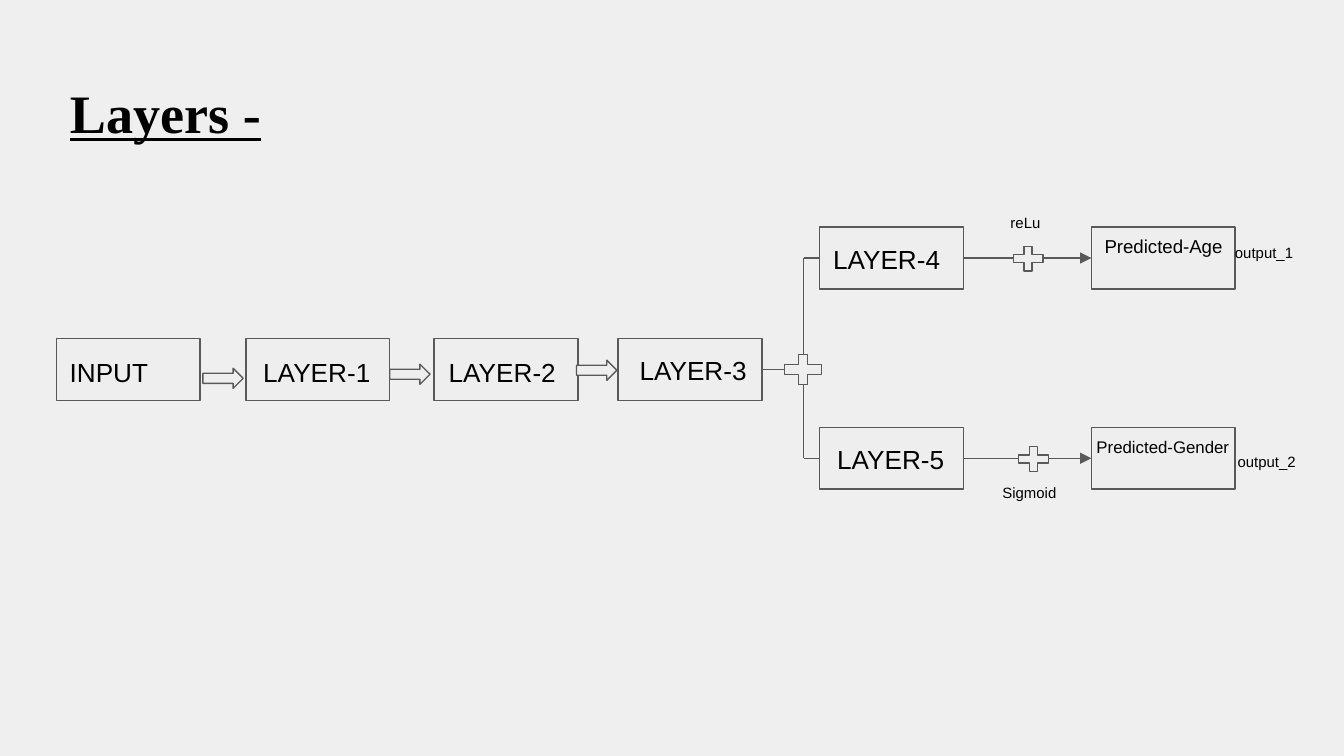
from lxml.etree import SubElement
from pptx import Presentation
from pptx.dml.color import RGBColor
from pptx.enum.shapes import MSO_CONNECTOR, MSO_SHAPE
from pptx.enum.text import MSO_ANCHOR, MSO_AUTO_SIZE, PP_ALIGN
from pptx.oxml.ns import qn
from pptx.util import Inches, Pt

COLORS = {"back": "EFEFEF", "fill": "EEEEEE", "line": "595959", "text": "000000"}
BOX_W, BOX_H = 1.07, 0.46
MAIN_Y, AGE_Y, SEX_Y = 2.52, 1.69, 3.18
FORK_X = 5.98


def color(name):
    """Look up a colour by its role."""
    return RGBColor.from_string(COLORS[name])


def write(frame, text, size, font="Arial"):
    """Fill a text frame with one left-aligned paragraph."""
    frame.word_wrap = True
    frame.auto_size = MSO_AUTO_SIZE.NONE
    frame.vertical_anchor = MSO_ANCHOR.TOP
    frame.margin_left = frame.margin_right = Inches(0.1)
    frame.margin_top = frame.margin_bottom = Inches(0.1)
    line = frame.paragraphs[0]
    line.text = text
    line.alignment = PP_ALIGN.LEFT
    line.font.size = Pt(size)
    line.font.name = font
    line.font.color.rgb = color("text")
    return line


def add_title(slide, text):
    """Place and format the title."""
    title = slide.shapes.title
    title.left, title.top = Inches(0.42), Inches(0.49)
    title.width, title.height = Inches(9.32), Inches(0.63)
    line = write(title.text_frame, text, 29, "Times New Roman")
    line.font.bold = line.font.underline = True


def add_label(slide, text, size, x, y, w, h):
    """Add a text box."""
    label = slide.shapes.add_textbox(Inches(x), Inches(y), Inches(w), Inches(h))
    write(label.text_frame, text, size)


def add_form(slide, kind, x, y, w, h):
    """Add an outlined preset shape."""
    form = slide.shapes.add_shape(kind, Inches(x), Inches(y), Inches(w), Inches(h))
    form.shadow.inherit = False
    form.fill.solid()
    form.fill.fore_color.rgb = color("fill")
    form.line.color.rgb = color("line")
    form.line.width = Pt(0.75)
    return form


def add_plus(slide, x, y, w, h):
    """Add a plus sign."""
    plus = add_form(slide, MSO_SHAPE.MATH_PLUS, x, y, w, h)
    plus.adjustments[0] = 0.235


def add_line(slide, start, end, source=None, target=None, arrow=False):
    """Draw a line, joined to a right or left box side where one is given."""
    points = [Inches(n) for n in (*start, *end)]
    line = slide.shapes.add_connector(MSO_CONNECTOR.STRAIGHT, *points)
    if source:
        line.begin_connect(source, 3)
    if target:
        line.end_connect(target, 1)
    line.line.color.rgb = color("line")
    line.line.width = Pt(0.75)
    props = line.element.spPr
    if arrow:
        SubElement(props.find(qn("a:ln")), qn("a:tailEnd"), type="triangle")
    SubElement(props, qn("a:effectLst"))


def add_boxes(slide):
    """Add all boxes and return them by name."""
    spots = {
        "input": (0.42, MAIN_Y), "one": (1.83, MAIN_Y),
        "two": (3.23, MAIN_Y), "three": (4.6, MAIN_Y),
        "four": (6.1, AGE_Y), "five": (6.1, SEX_Y),
        "age": (8.12, AGE_Y), "gender": (8.12, SEX_Y),
    }
    return {name: add_form(slide, MSO_SHAPE.RECTANGLE, x, y, BOX_W, BOX_H)
            for name, (x, y) in spots.items()}


def add_flow(slide, boxes):
    """Link the boxes with arrows, lines and plus signs."""
    for x, y in ((1.51, 2.74), (2.9, 2.71), (4.29, 2.68)):
        add_form(slide, MSO_SHAPE.RIGHT_ARROW, x, y, 0.3, 0.15)
    mid, age, sex = (y + BOX_H / 2 for y in (MAIN_Y, AGE_Y, SEX_Y))
    rows = ((age, "four", "age", 7.5), (sex, "five", "gender", 7.54))
    for y, layer, result, x in rows:
        add_line(slide, (7.17, y), (8.12, y), boxes[layer], boxes[result], True)
        add_plus(slide, x, y - 0.12, 0.3, 0.25)
        add_line(slide, (FORK_X, y), (6.1, y), target=boxes[layer])
    add_line(slide, (FORK_X, age), (FORK_X, sex))
    add_line(slide, (5.67, mid), (FORK_X, mid), boxes["three"])
    add_plus(slide, 5.79, mid - 0.15, 0.37, 0.3)


def main():
    """Build the slide."""
    deck = Presentation()
    deck.slide_width, deck.slide_height = Inches(10), Inches(10 * 9 / 16)
    slide = deck.slides.add_slide(deck.slide_layouts[5])
    slide.background.fill.solid()
    slide.background.fill.fore_color.rgb = color("back")
    add_title(slide, "Layers -")
    boxes = add_boxes(slide)
    add_flow(slide, boxes)
    for label in (
        ("INPUT", 14, 0.42, 2.55, 1.07, 0.46),
        ("LAYER-1", 14, 1.86, 2.55, 1.01, 0.46),
        ("LAYER-2", 14, 3.24, 2.55, 1.07, 0.46),
        ("LAYER-3", 14, 4.66, 2.54, 1.01, 0.42),
        ("LAYER-4", 14, 6.1, 1.71, 1.07, 0.42),
        ("LAYER-5", 14, 6.13, 3.2, 1.01, 0.42),
        ("Predicted-Gender", 9, 8.06, 3.15, 1.19, 0.53),
        ("Predicted-Age", 10, 8.12, 1.65, 1.19, 0.53),
        ("Sigmoid", 8, 7.36, 3.5, 0.66, 0.25),
        ("reLu", 8, 7.42, 1.49, 0.45, 0.25),
        ("output_1", 8, 9.09, 1.71, 0.74, 0.34),
        ("output_2", 8, 9.11, 3.27, 0.7, 0.3),
    ):
        add_label(slide, *label)
    deck.save("out.pptx")


if __name__ == "__main__":
    main()
